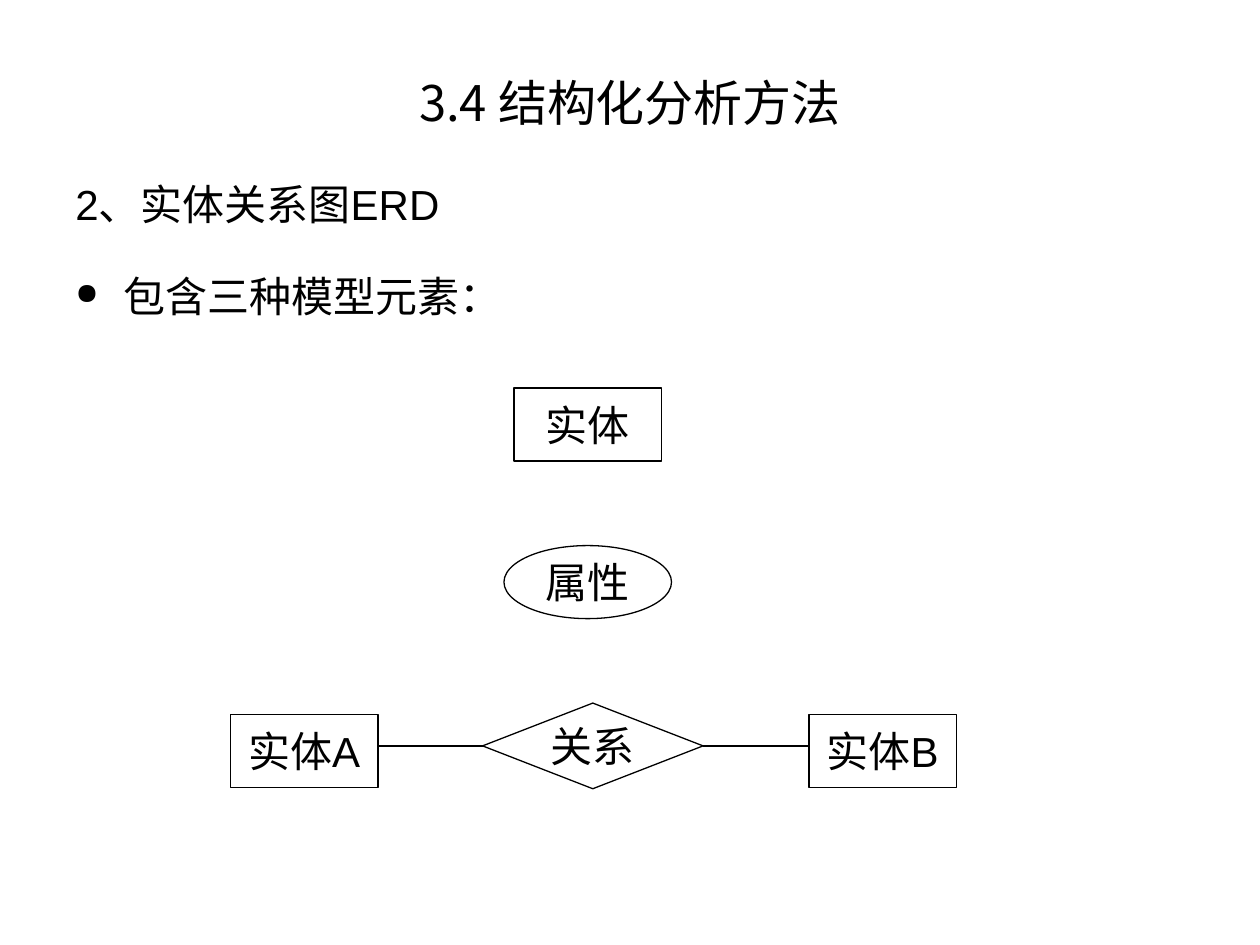
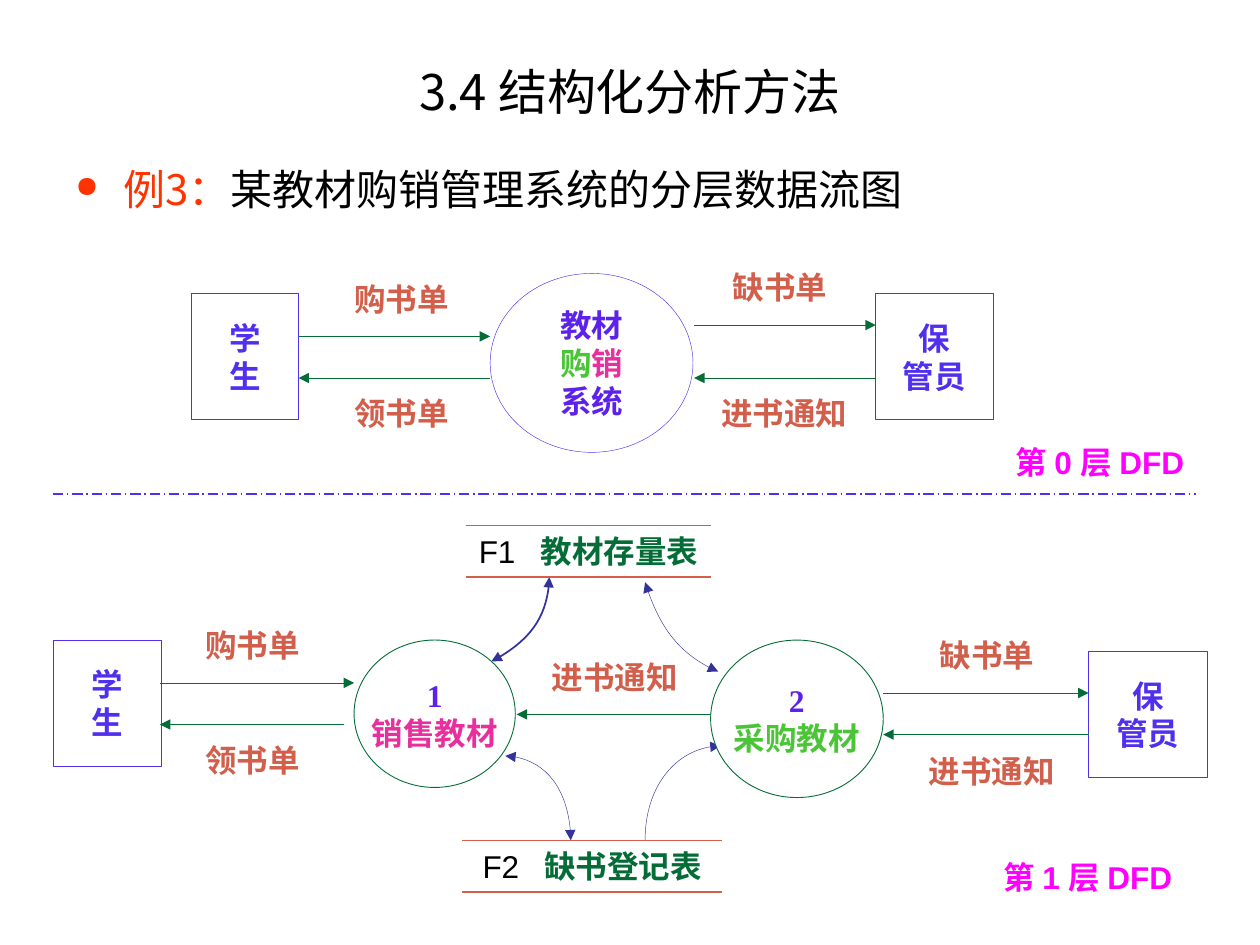
from dataclasses import dataclass
from typing import NamedTuple, Optional

from lxml.etree import SubElement
from pptx import Presentation
from pptx.dml.color import RGBColor as Rgb
from pptx.enum.dml import MSO_LINE as Dash
from pptx.enum.shapes import MSO_CONNECTOR as Connector, MSO_SHAPE as Preset
from pptx.enum.text import MSO_ANCHOR as Anchor, PP_ALIGN as Align
from pptx.oxml.ns import qn
from pptx.util import Pt

PX = 9144


@dataclass(frozen=True)
class Theme:
    """Colours, fonts and type sizes of the slides."""
    black: str = "000000"
    white: str = "FFFFFF"
    entity: str = "5030EE"
    process: str = "5C22EC"
    buying: str = "4BC537"
    selling: str = "E72F9D"
    flow: str = "046C36"
    label: str = "D25F4C"
    curve: str = "333399"
    level: str = "FF00FF"
    accent: str = "FF3300"
    latin: str = "Arial"
    serif: str = "Times New Roman"
    cjk: str = "Noto Sans CJK SC"
    title_size: int = 28
    body_size: int = 24
    diagram_size: int = 18


THEME = Theme()


class Span(NamedTuple):
    """A stretch of text in one format."""
    text: str
    color: str = THEME.black
    font: str = THEME.cjk
    bold: bool = False
    size: int = THEME.diagram_size


class Area(NamedTuple):
    """A rectangle on the slide in px."""
    left: int
    top: int
    width: int
    height: int


class Node(NamedTuple):
    """An outlined shape holding centred lines of text."""
    preset: Preset
    area: Area
    lines: list
    color: str = THEME.black
    weight: float = 0.75


class Flow(NamedTuple):
    """A horizontal data flow with its caption."""
    left: int
    right: int
    y: int
    forward: bool
    caption: str
    caption_area: Area


class Curve(NamedTuple):
    """A cubic arc with arrowheads at its start and perhaps its end."""
    points: list
    both_ends: bool = True
    weight: float = 0.25


class Store(NamedTuple):
    """A data store between two rules."""
    left: int
    right: int
    top: int
    code: str
    name: str
    area: Area
    inset: int


def emu(*lengths: int) -> list:
    """Turn px into EMU."""
    return [length * PX for length in lengths]


def write_line(paragraph, spans: list, align=Align.CENTER) -> None:
    """Fill one paragraph with formatted spans."""
    paragraph.text = spans[0].text
    for span in spans[1:]:
        paragraph.add_run().text = span.text
    paragraph.alignment = align
    for run, span in zip(paragraph.runs, spans):
        font = run.font
        font.name, font.size, font.bold = span.font, Pt(span.size), span.bold
        font.color.rgb = Rgb.from_string(span.color)
        SubElement(font._element, qn("a:ea"), typeface=THEME.cjk)


def write(shape, lines: list, anchor=Anchor.TOP, wrap: bool = True, align=Align.CENTER) -> None:
    """Fill a shape with lines of spans."""
    frame = shape.text_frame
    frame.word_wrap, frame.vertical_anchor = wrap, anchor
    for index, spans in enumerate(lines):
        paragraph = frame.add_paragraph() if index else frame.paragraphs[0]
        write_line(paragraph, spans, align)


def add_text(slide, area: Area, lines: list, **layout):
    """Add a text box."""
    box = slide.shapes.add_textbox(*emu(*area))
    write(box, lines, **layout)
    return box


def add_bullet(paragraph, color: str) -> None:
    """Give a paragraph a round bullet."""
    properties = paragraph._p.get_or_add_pPr()
    properties.set("marL", str(38 * PX))
    properties.set("indent", str(-38 * PX))
    SubElement(SubElement(properties, qn("a:buClr")), qn("a:srgbClr"), val=color)
    SubElement(properties, qn("a:buSzPct"), val="70000")
    SubElement(properties, qn("a:buChar"), char="●")


def style_line(shape, color: str, weight: float, head: bool = False, tail: bool = False) -> None:
    """Set an outline and its arrowheads."""
    shape.line.color.rgb = Rgb.from_string(color)
    shape.line.width = Pt(weight)
    for tag, wanted in (("a:headEnd", head), ("a:tailEnd", tail)):
        if wanted:
            SubElement(shape.line._get_or_add_ln(), qn(tag), type="triangle")


def add_line(slide, left: int, right: int, y: int, color: str, weight: float = 0.75, **arrows):
    """Add a horizontal line."""
    line = slide.shapes.add_connector(Connector.STRAIGHT, *emu(left, y, right, y))
    style_line(line, color, weight, **arrows)
    SubElement(line._element.spPr, qn("a:effectLst"))
    return line


def add_node(slide, node: Node):
    """Add an outlined shape with text."""
    shape = slide.shapes.add_shape(node.preset, *emu(*node.area))
    shape.shadow.inherit = False
    shape.fill.solid()
    shape.fill.fore_color.rgb = Rgb.from_string(THEME.white)
    style_line(shape, node.color, node.weight)
    write(shape, node.lines, anchor=Anchor.MIDDLE, wrap=False)
    return shape


def add_flow(slide, flow: Flow) -> None:
    """Add a data flow arrow and its caption."""
    add_line(slide, flow.left, flow.right, flow.y, THEME.flow, 0.25,
             head=not flow.forward, tail=flow.forward)
    add_text(slide, flow.caption_area, [[Span(flow.caption, THEME.label, bold=True)]])


def add_curve(slide, curve: Curve) -> None:
    """Add an arc, turning its segments into one cubic Bezier."""
    start, *rest = curve.points
    builder = slide.shapes.build_freeform(*start, scale=PX)
    builder.add_line_segments(rest, close=False)
    arc = builder.convert_to_shape()
    arc.shadow.inherit = False
    arc.fill.background()
    style_line(arc, THEME.curve, curve.weight, head=True, tail=curve.both_ends)
    segments = list(arc._element.iter(qn("a:lnTo")))
    outline = segments[0].getparent()
    bezier = SubElement(outline, qn("a:cubicBezTo"))
    for segment in segments:
        bezier.append(segment[0])
        outline.remove(segment)


def add_store(slide, store: Store) -> None:
    """Add a data store with its code and name."""
    for y in (store.top, store.top + 41):
        add_line(slide, store.left, store.right, y, THEME.label)
    spans = [Span(store.code + "\t", font=THEME.latin), Span(store.name, THEME.flow, bold=True)]
    box = add_text(slide, store.area, [spans], align=Align.LEFT)
    box.text_frame.margin_left = store.inset * PX
    properties = box.text_frame.paragraphs[0]._p.get_or_add_pPr()
    SubElement(SubElement(properties, qn("a:tabLst")), qn("a:tab"), pos=str(49 * PX), algn="l")


def add_title(slide, top: int) -> None:
    """Add the chapter title."""
    add_text(slide, Area(50, top, 900, 78),
             [[Span("3.4 结构化分析方法", size=THEME.title_size)]], anchor=Anchor.MIDDLE)


def party(left: int, top: int, width: int, *names: str) -> Node:
    """Describe an external party of the data flow diagram."""
    lines = [[Span(name, THEME.entity, THEME.serif, True)] for name in names]
    return Node(Preset.RECTANGLE, Area(left, top, width, 100), lines, THEME.entity, 0.25)


def process(area: Area, number: str, name: str, color: str) -> Node:
    """Describe a numbered process of the first level."""
    lines = [[Span(number, THEME.process, THEME.serif, True)], [Span(name, color, bold=True)]]
    return Node(Preset.OVAL, area, lines, THEME.flow, 0.5)


def element(preset: Preset, area: Area, name: str) -> Node:
    """Describe an element of the entity relationship diagram."""
    return Node(preset, area, [[Span(name, font=THEME.latin, size=THEME.body_size)]])


def build_erd(slide) -> None:
    """Draw the entity relationship slide."""
    add_title(slide, 42)
    body = add_text(slide, Area(50, 125, 900, 567), [
        [Span("2、实体关系图ERD", font=THEME.latin, size=THEME.body_size)],
        [Span("包含三种模型元素：", font=THEME.latin, size=THEME.body_size)],
    ], align=Align.LEFT)
    heading, elements = body.text_frame.paragraphs
    heading.line_spacing = elements.line_spacing = 1.3
    elements.space_before = Pt(15)
    add_bullet(elements, THEME.black)
    add_node(slide, element(Preset.RECTANGLE, Area(408, 308, 117, 58), "实体"))
    add_node(slide, element(Preset.OVAL, Area(400, 433, 133, 58), "属性"))
    relation = add_node(slide, element(Preset.DIAMOND, Area(383, 558, 175, 68), "关系"))
    for name, left in (("实体A", 183), ("实体B", 642)):
        add_node(slide, element(Preset.RECTANGLE, Area(left, 567, 117, 58), name))
    for start, end, side in ((383, 300, 1), (558, 642, 3)):
        add_line(slide, start, end, 592, THEME.black).begin_connect(relation, side)


def build_dfd(slide) -> None:
    """Draw the layered data flow slide."""
    add_title(slide, 33)
    system = [
        [Span("教材", THEME.process, THEME.serif, True)],
        [Span("购", THEME.buying, bold=True), Span("销", THEME.selling, bold=True)],
        [Span("系统", THEME.process, THEME.serif, True)],
    ]
    flows = [
        Flow(237, 389, 267, True, "购书单", Area(271, 217, 95, 40)),
        Flow(237, 389, 300, False, "领书单", Area(271, 308, 95, 40)),
        Flow(551, 695, 258, True, "缺书单", Area(551, 208, 136, 40)),
        Flow(551, 695, 300, False, "进书通知", Area(542, 308, 161, 40)),
        Flow(410, 564, 567, False, "进书通知", Area(428, 517, 120, 40)),
        Flow(127, 281, 542, True, "购书单", Area(153, 492, 95, 40)),
        Flow(127, 273, 575, False, "领书单", Area(153, 583, 95, 40)),
        Flow(701, 864, 550, True, "缺书单", Area(736, 500, 95, 40)),
        Flow(701, 864, 583, False, "进书通知", Area(727, 592, 120, 40)),
    ]
    curves = [
        Curve([(401, 600), (430, 600), (453, 630), (453, 667)]),
        Curve([(572, 592), (539, 592), (512, 625), (512, 667)], both_ends=False),
        Curve([(390, 525), (418, 511), (436, 486), (436, 458)], weight=1),
        Curve([(570, 533), (543, 522), (522, 496), (512, 462)]),
    ]
    nodes = [
        party(152, 233, 85, "学", "生"),
        Node(Preset.OVAL, Area(389, 217, 161, 142), system, THEME.entity, 0.25),
        party(695, 233, 93, "保", "管员"),
        process(Area(281, 508, 128, 117), "1", "销售教材", THEME.selling),
        party(42, 508, 86, "学", "生"),
        process(Area(564, 508, 137, 125), "2", "采购教材", THEME.buying),
        party(864, 517, 94, "保", "管员"),
    ]
    stores = [
        Store(370, 564, 417, "F1", "教材存量表", Area(344, 417, 240, 40), 36),
        Store(367, 573, 667, "F2", "缺书登记表", Area(341, 667, 257, 40), 42),
    ]
    for draw, parts in ((add_curve, curves), (add_node, nodes),
                        (add_flow, flows), (add_store, stores)):
        for part in parts:
            draw(slide, part)
    add_line(slide, 42, 949, 392, THEME.entity).line.dash_style = Dash.LONG_DASH_DOT
    for level, area in (("0", Area(771, 342, 204, 50)), ("1", Area(752, 667, 223, 58))):
        add_text(slide, area, [[Span(f"第 {level} 层 DFD", THEME.level, THEME.latin, True)]],
                 anchor=Anchor.MIDDLE, wrap=False)
    example = add_text(slide, Area(50, 125, 900, 542), [[
        Span("例3：", THEME.accent, size=THEME.body_size),
        Span("某教材购销管理系统的分层数据流图", size=THEME.body_size),
    ]], align=Align.LEFT)
    add_bullet(example.text_frame.paragraphs[0], THEME.accent)


def main() -> None:
    """Build and save the presentation."""
    deck = Presentation()
    deck.slide_width, deck.slide_height = emu(1000, 750)
    for build in (build_erd, build_dfd):
        build(deck.slides.add_slide(deck.slide_layouts[6]))
    deck.save("out.pptx")


if __name__ == "__main__":
    main()
